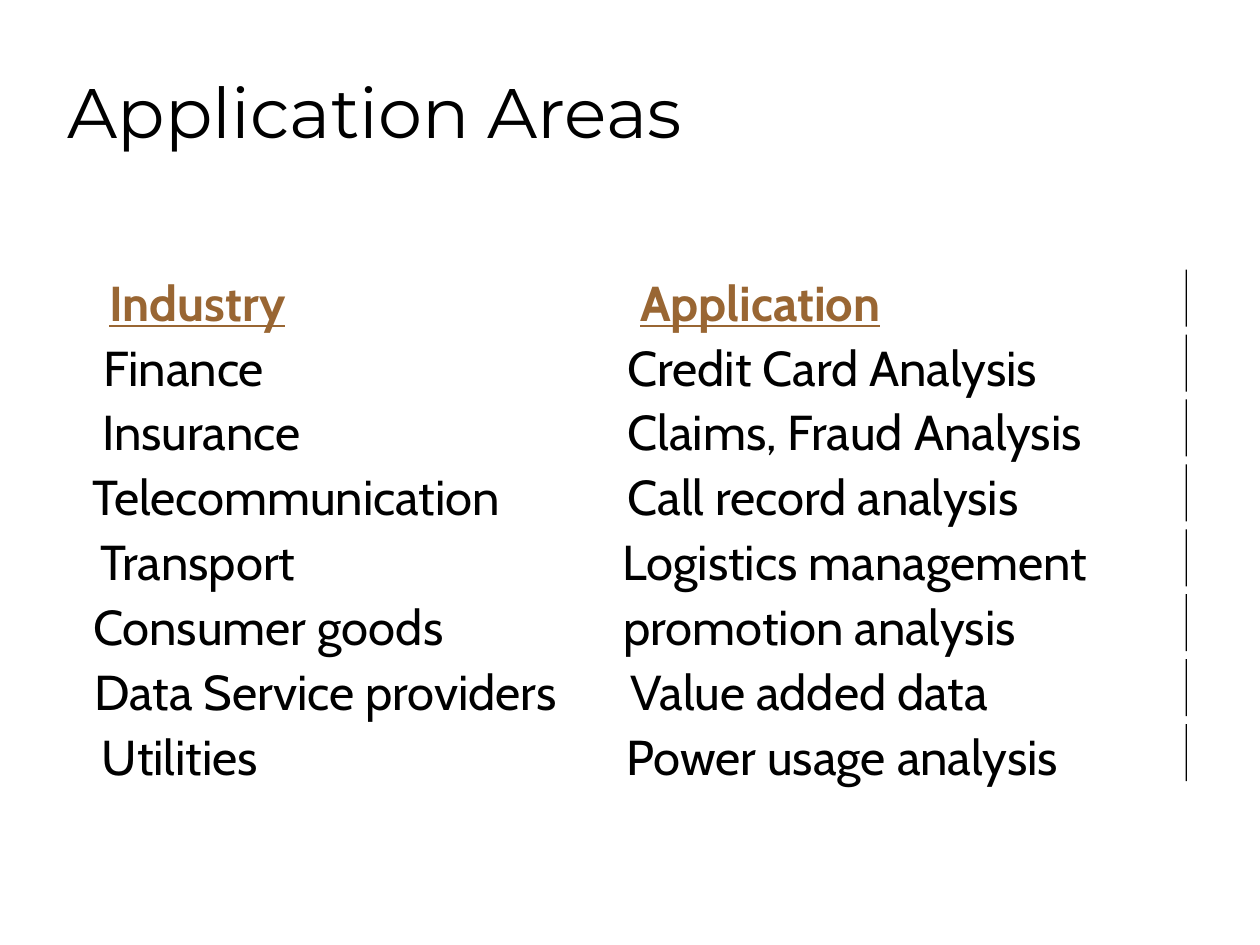
import pptx
import pptx.dml.color
import pptx.enum.shapes
import pptx.enum.text
import pptx.util

Pt = pptx.util.Pt
BLACK = pptx.dml.color.RGBColor(0x00, 0x00, 0x00)
BROWN = pptx.dml.color.RGBColor(0x99, 0x66, 0x33)

FIRST_ROW_TOP = 155.5
ROW_PITCH = 37.1
ROW_HEIGHT = 33.8
RULE_LEFT = 677.5
RULE_RISE = 1.4

AREAS = [
    (("Industry", 62.6, 120.2), ("Application", 365.8, 159.1)),
    (("Finance", 59, 101.5), ("Credit Card Analysis", 358.6, 262.8)),
    (("Insurance", 58.3, 131), ("Claims, Fraud Analysis", 358.6, 291.6)),
    (("Telecommunication", 52.6, 259.2), ("Call record analysis", 358.6, 252.7)),
    (("Transport", 57.6, 129.6), ("Logistics management", 355.7, 298.1)),
    (("Consumer goods", 53.3, 224.6), ("promotion analysis", 356.4, 252)),
    (("Data Service providers", 54, 294.5), ("Value added data", 360, 229)),
    (("Utilities", 58.3, 98.6), ("Power usage analysis", 357.8, 281.5)),
]


class AreasSlide:
    title_font = "Montserrat"
    body_font = "Cabin"
    title_size = 40
    body_size = 28

    def __init__(self, deck):
        self.slide = deck.slides.add_slide(deck.slide_layouts[6])

    def text(self, wording, left, top, width, height, font, size, color):
        box = self.slide.shapes.add_textbox(Pt(left), Pt(top), Pt(width), Pt(height))
        frame = box.text_frame
        frame.text = wording
        face = frame.paragraphs[0].runs[0].font
        face.name = font
        face.size = Pt(size)
        face.color.rgb = color
        return frame

    def title(self, wording, left, top, width, height):
        frame = self.text(wording, left, top, width, height,
                          self.title_font, self.title_size, BLACK)
        frame.word_wrap = True
        frame.vertical_anchor = pptx.enum.text.MSO_ANCHOR.MIDDLE

    def entry(self, wording, left, top, width, heading=False):
        frame = self.text(wording, left, top, width, ROW_HEIGHT,
                          self.body_font, self.body_size, BROWN if heading else BLACK)
        frame.margin_left = frame.margin_right = 0
        frame.margin_top = frame.margin_bottom = 0
        frame.word_wrap = False
        frame.auto_size = pptx.enum.text.MSO_AUTO_SIZE.SHAPE_TO_FIT_TEXT
        if heading:
            face = frame.paragraphs[0].runs[0].font
            face.bold = True
            face.underline = True

    def rule(self, left, top, width, height):
        bar = self.slide.shapes.add_shape(
            pptx.enum.shapes.MSO_SHAPE.RECTANGLE,
            Pt(left), Pt(top), Pt(width), Pt(height))
        bar.shadow.inherit = False
        bar.fill.solid()
        bar.fill.fore_color.rgb = BLACK
        bar.line.fill.background()


def main():
    deck = pptx.Presentation()
    deck.slide_width = Pt(720)
    deck.slide_height = Pt(540)
    areas = AreasSlide(deck)
    areas.title("Application Areas", 31.7, 18, 612, 90)
    for row, entries in enumerate(AREAS):
        top = FIRST_ROW_TOP + row * ROW_PITCH
        for wording, left, width in entries:
            areas.entry(wording, left, top, width, heading=row == 0)
        areas.rule(RULE_LEFT, top - RULE_RISE, 0.75, 32.6)
    deck.save("out.pptx")


if __name__ == "__main__":
    main()
